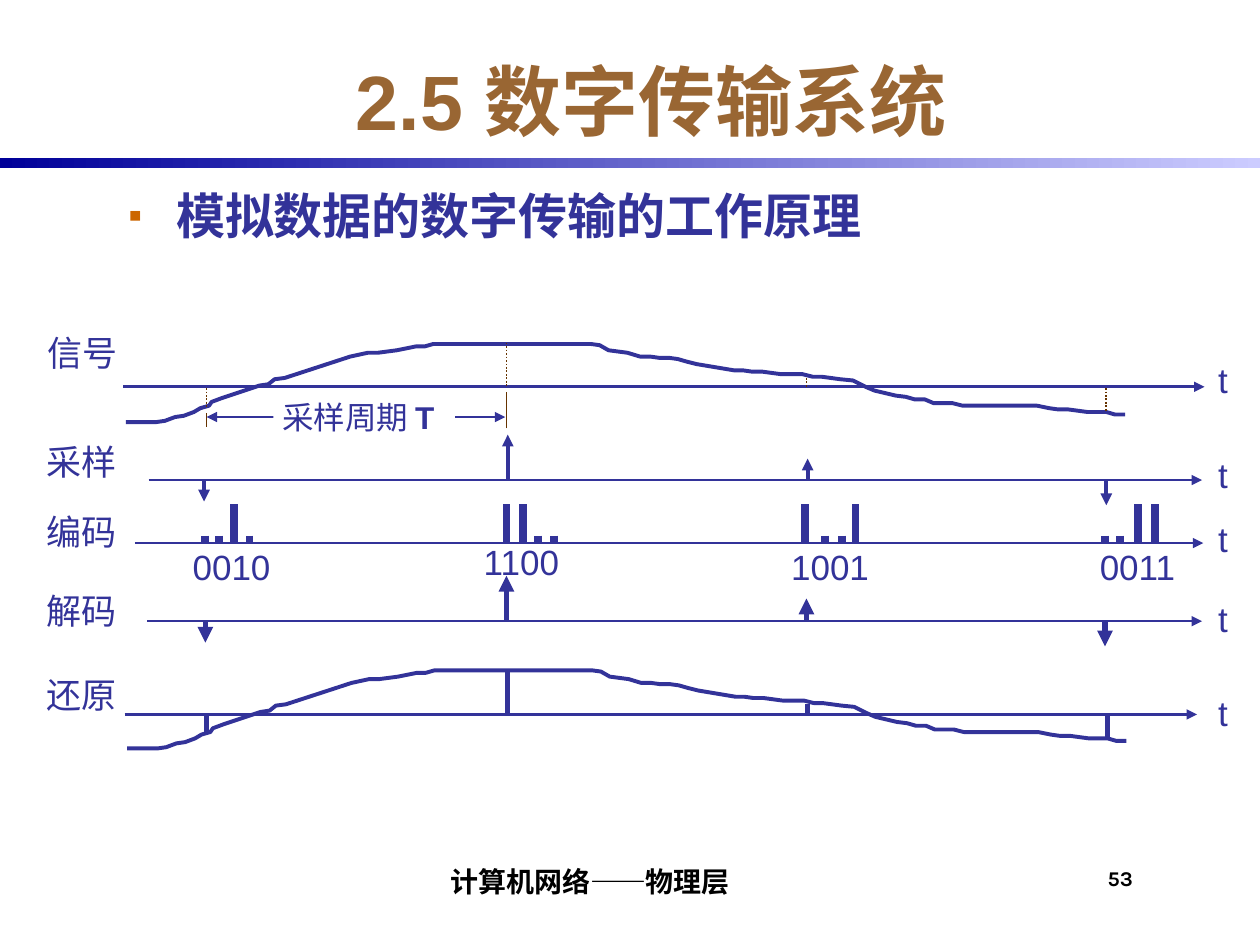
from dataclasses import dataclass

import lxml.etree
import pptx
import pptx.dml.color
import pptx.enum.dml
import pptx.enum.shapes
import pptx.enum.text
import pptx.oxml.ns
import pptx.util

Inches = pptx.util.Inches
Pt = pptx.util.Pt
qn = pptx.oxml.ns.qn
Align = pptx.enum.text.PP_ALIGN
Anchor = pptx.enum.text.MSO_ANCHOR

COLORS = {
    "ink": "333399",
    "title": "996633",
    "bullet": "CC6600",
    "guide": "663300",
    "footer": "000000",
    "mask": "FFFFFF",
    "bar_start": "000099",
    "bar_end": "CCCCFF",
}


@dataclass
class Run:
    text: str
    bold: bool = False


@dataclass
class Row:
    label: str
    label_top: float
    t_top: float
    axis_left: float
    axis_right: float
    axis_top: float
    label_left: float = 0.27
    label_font: str = "Arial"


@dataclass
class Pulse:
    left: float
    start: float
    end: float


@dataclass
class CodeWord:
    bits: str
    label_left: float
    label_top: float
    bar_lefts: tuple[float, ...]


SIGNAL = Row("信号", 2.58, 2.8, 0.98, 9.56, 3.07, 0.28, "Times New Roman")
SAMPLING = Row("采样", 3.45, 3.55, 1.18, 9.54, 3.81)
ENCODING = Row("编码", 4, 4.06, 1.07, 9.55, 4.31)
DECODING = Row("解码", 4.63, 4.69, 1.17, 9.54, 4.93)
RESTORED = Row("还原", 5.3, 5.44, 0.99, 9.5, 5.67)

GUIDES = [Pulse(1.64, 3.08, 3.23), Pulse(4.02, 2.72, 3.07),
          Pulse(6.4, 3, 3.07), Pulse(8.78, 3.08, 3.27)]
PERIOD_MARKS = [Pulse(1.64, 3.28, 3.39), Pulse(4.02, 3.4, 3.11)]
SAMPLES = [Pulse(1.62, 3.82, 3.98), Pulse(4.03, 3.81, 3.45),
           Pulse(6.41, 3.81, 3.64), Pulse(8.78, 3.81, 4.01)]
DECODED = [Pulse(1.63, 4.93, 5.1), Pulse(4.02, 4.93, 4.57),
           Pulse(6.4, 4.93, 4.75), Pulse(8.77, 4.93, 5.13)]
RESTORED_SAMPLES = [Pulse(1.64, 5.67, 5.82), Pulse(4.03, 5.31, 5.66),
                    Pulse(6.41, 5.59, 5.66), Pulse(8.79, 5.67, 5.86)]
CODE_WORDS = [
    CodeWord("0010", 1.43, 4.28, (1.63, 1.74, 1.86, 1.98)),
    CodeWord("1100", 3.74, 4.24, (4.02, 4.15, 4.27, 4.4)),
    CodeWord("1001", 6.18, 4.28, (6.39, 6.55, 6.68, 6.79)),
    CodeWord("0011", 8.63, 4.28, (8.77, 8.89, 9.03, 9.17)),
]
BAR_TOPS = {"0": 4.25, "1": 4}
WAVE = [
    (1, 3.35), (1.24, 3.35), (1.31, 3.34), (1.39, 3.31), (1.46, 3.3), (1.54, 3.27),
    (1.59, 3.24), (1.66, 3.22), (1.68, 3.19), (1.76, 3.16), (2.06, 3.06), (2.13, 3.05),
    (2.18, 3.01), (2.26, 3), (2.78, 2.83), (2.92, 2.8), (3, 2.8), (3.15, 2.78),
    (3.3, 2.75), (3.37, 2.75), (3.44, 2.73), (4.69, 2.73), (4.76, 2.74), (4.83, 2.78),
    (4.98, 2.8), (5.08, 2.83), (5.16, 2.83), (5.23, 2.84), (5.31, 2.84), (5.38, 2.85),
    (5.45, 2.87), (5.53, 2.89), (5.83, 2.94), (5.9, 2.94), (5.97, 2.95), (6.05, 2.95),
    (6.2, 2.97), (6.37, 2.97), (6.45, 2.99), (6.52, 2.99), (6.67, 3.01), (6.77, 3.02),
    (6.87, 3.07), (6.94, 3.1), (7.11, 3.14), (7.19, 3.15), (7.26, 3.17), (7.34, 3.17),
    (7.41, 3.2), (7.56, 3.2), (7.64, 3.22), (8.23, 3.22), (8.33, 3.24), (8.4, 3.25),
    (8.48, 3.25), (8.63, 3.27), (8.78, 3.27), (8.85, 3.29), (8.93, 3.29),
]


def color(name: str) -> pptx.dml.color.RGBColor:
    return pptx.dml.color.RGBColor.from_string(COLORS[name])


def add_bullet(paragraph, character: str) -> None:
    properties = paragraph._p.get_or_add_pPr()
    properties.set("marL", str(Inches(0.38)))
    properties.set("indent", str(Inches(-0.38)))
    bullet_color = lxml.etree.SubElement(properties, qn("a:buClr"))
    lxml.etree.SubElement(bullet_color, qn("a:srgbClr"), val=COLORS["bullet"])
    lxml.etree.SubElement(properties, qn("a:buSzPct"), val="80000")
    lxml.etree.SubElement(properties, qn("a:buFont"), typeface="Arial")
    lxml.etree.SubElement(properties, qn("a:buChar"), char=character)


def add_text(shapes, text: str | list[Run], left: float, top: float, width: float,
             height: float, *, size: float = 20, font: str = "Arial", fill: str = "ink",
             bold: bool = False, align=Align.LEFT, anchor=Anchor.TOP, wrap: bool = False,
             insets: tuple[float, ...] = (0.1, 0.05, 0.1, 0.05), bullet: str = "") -> None:
    shape = shapes.add_textbox(Inches(left), Inches(top), Inches(width), Inches(height))
    frame = shape.text_frame
    frame.word_wrap = wrap
    if not wrap:
        frame.auto_size = pptx.enum.text.MSO_AUTO_SIZE.SHAPE_TO_FIT_TEXT
    frame.vertical_anchor = anchor
    (frame.margin_left, frame.margin_top,
     frame.margin_right, frame.margin_bottom) = map(Inches, insets)
    paragraph = frame.paragraphs[0]
    paragraph.alignment = align
    if bullet:
        add_bullet(paragraph, bullet)
    for part in [Run(text, bold)] if isinstance(text, str) else text:
        run = paragraph.add_run()
        run.text = part.text
        run.font.name = font
        run.font.size = Pt(size)
        run.font.bold = part.bold
        run.font.color.rgb = color(fill)


def add_line(shapes, start: tuple[float, float], end: tuple[float, float], width: float, *,
             stroke: str = "ink", dash=None, ends: tuple[str, ...] = ()) -> None:
    connector = shapes.add_connector(pptx.enum.shapes.MSO_CONNECTOR.STRAIGHT,
                                     *map(Inches, start + end))
    connector.line.color.rgb = color(stroke)
    connector.line.width = Pt(width)
    if dash:
        connector.line.dash_style = dash
    for name in ends:
        lxml.etree.SubElement(connector.line._get_or_add_ln(), qn(f"a:{name}"), type="triangle")
    lxml.etree.SubElement(connector._element.spPr, qn("a:effectLst"))


def add_pulses(shapes, pulses: list[Pulse], width: float, **style) -> None:
    for pulse in pulses:
        add_line(shapes, (pulse.left, pulse.start), (pulse.left, pulse.end), width, **style)


def add_rectangle(shapes, left: float, top: float, width: float, height: float):
    shape = shapes.add_shape(pptx.enum.shapes.MSO_SHAPE.RECTANGLE, Inches(left), Inches(top),
                             Inches(width), Inches(height))
    shape.shadow.inherit = False
    shape.line.fill.background()
    return shape


def add_wave(shapes, shift_x: float = 0, shift_y: float = 0) -> None:
    points = [(Inches(x + shift_x), Inches(y + shift_y)) for x, y in WAVE]
    builder = shapes.build_freeform(*points[0])
    builder.add_line_segments(points[1:], close=False)
    shape = builder.convert_to_shape()
    shape.shadow.inherit = False
    shape.fill.background()
    shape.line.color.rgb = color("ink")
    shape.line.width = Pt(2.25)


def add_row(slide, row: Row):
    shapes = slide.shapes.add_group_shape().shapes
    add_line(shapes, (row.axis_left, row.axis_top), (row.axis_right, row.axis_top), 1.5,
             ends=("tailEnd",))
    add_text(shapes, "t", 9.57, row.t_top, 0.28, 0.43)
    add_text(shapes, row.label, row.label_left, row.label_top, 0.76, 0.43, font=row.label_font)
    return shapes


def add_frame(slide) -> None:
    fill = add_rectangle(slide.shapes, 0, 1.25, 10, 0.08).fill
    fill.gradient()
    fill.gradient_angle = 0
    for stop, name in zip(fill.gradient_stops, ("bar_start", "bar_end")):
        stop.color.rgb = color(name)
    add_text(slide.shapes, "53", 8.75, 6.83, 0.58, 0.42, size=12, font="Karla", fill="footer",
             bold=True, wrap=True, insets=(0.04, 0.04, 0, 0))
    add_text(slide.shapes, "2.5 数字传输系统", 0.92, 0.33, 8.5, 0.92, size=44, fill="title",
             bold=True, align=Align.CENTER, anchor=Anchor.MIDDLE, wrap=True)
    add_text(slide.shapes, "模拟数据的数字传输的工作原理", 0.92, 1.42, 8.5, 5, size=28,
             bold=True, wrap=True, bullet="▪")
    add_text(slide.shapes, "计算机网络——物理层", 2.08, 6.75, 5.17, 0.42, size=16, font="Karla",
             fill="footer", bold=True, align=Align.CENTER, anchor=Anchor.BOTTOM, wrap=True,
             insets=(0.04, 0, 0, 0.04))


def add_signal(slide) -> None:
    shapes = add_row(slide, SIGNAL)
    add_wave(shapes)
    add_pulses(shapes, GUIDES, 1, stroke="guide", dash=pptx.enum.dml.MSO_LINE.ROUND_DOT)
    add_pulses(shapes, PERIOD_MARKS, 1, stroke="guide")
    add_line(shapes, (1.64, 3.31), (4.01, 3.31), 1, ends=("headEnd", "tailEnd"))
    mask = add_rectangle(shapes, 2.17, 3.22, 1.44, 0.19)
    mask.fill.solid()
    mask.fill.fore_color.rgb = color("mask")
    add_text(shapes, [Run("采样周期 "), Run("T", True)], 2.14, 3.11, 1.47, 0.4, size=18,
             insets=(0.1, 0.05, 0, 0.05))


def add_encoding(slide) -> None:
    shapes = add_row(slide, ENCODING)
    for word in CODE_WORDS:
        add_text(shapes, word.bits, word.label_left, word.label_top, 0.82, 0.43)
        bars = [Pulse(left, BAR_TOPS[bit], ENCODING.axis_top)
                for bit, left in zip(word.bits, word.bar_lefts)]
        add_pulses(shapes, bars, 4.5)


def main() -> None:
    presentation = pptx.Presentation()
    presentation.slide_width, presentation.slide_height = Inches(10), Inches(7.5)
    slide = presentation.slides.add_slide(presentation.slide_layouts[6])
    add_frame(slide)
    add_signal(slide)
    add_pulses(add_row(slide, SAMPLING), SAMPLES, 2.25, ends=("tailEnd",))
    add_encoding(slide)
    add_pulses(add_row(slide, DECODING), DECODED, 3, ends=("tailEnd",))
    restored = add_row(slide, RESTORED)
    add_wave(restored, 0.01, 2.59)
    add_pulses(restored, RESTORED_SAMPLES, 3)
    presentation.save("out.pptx")


if __name__ == "__main__":
    main()
